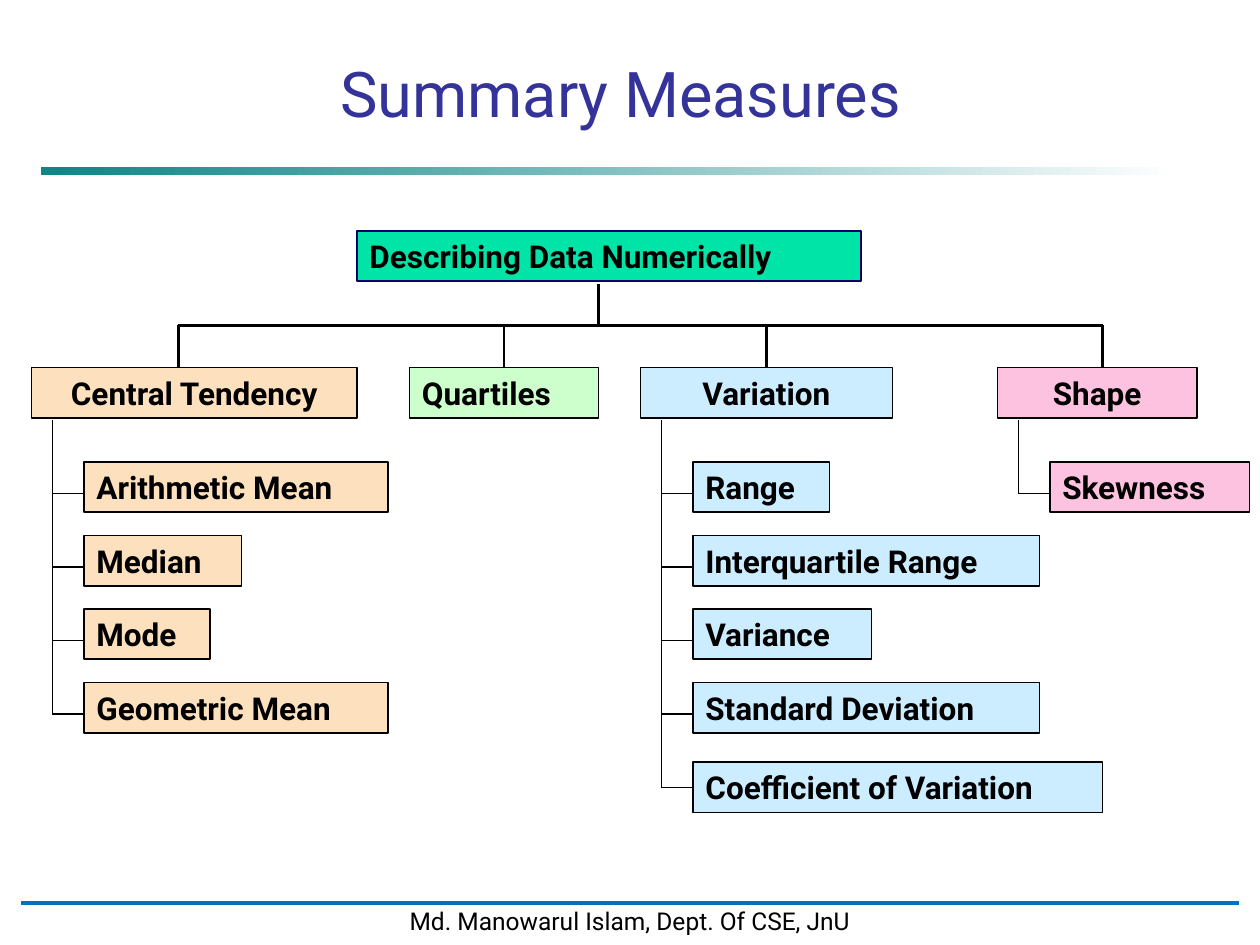
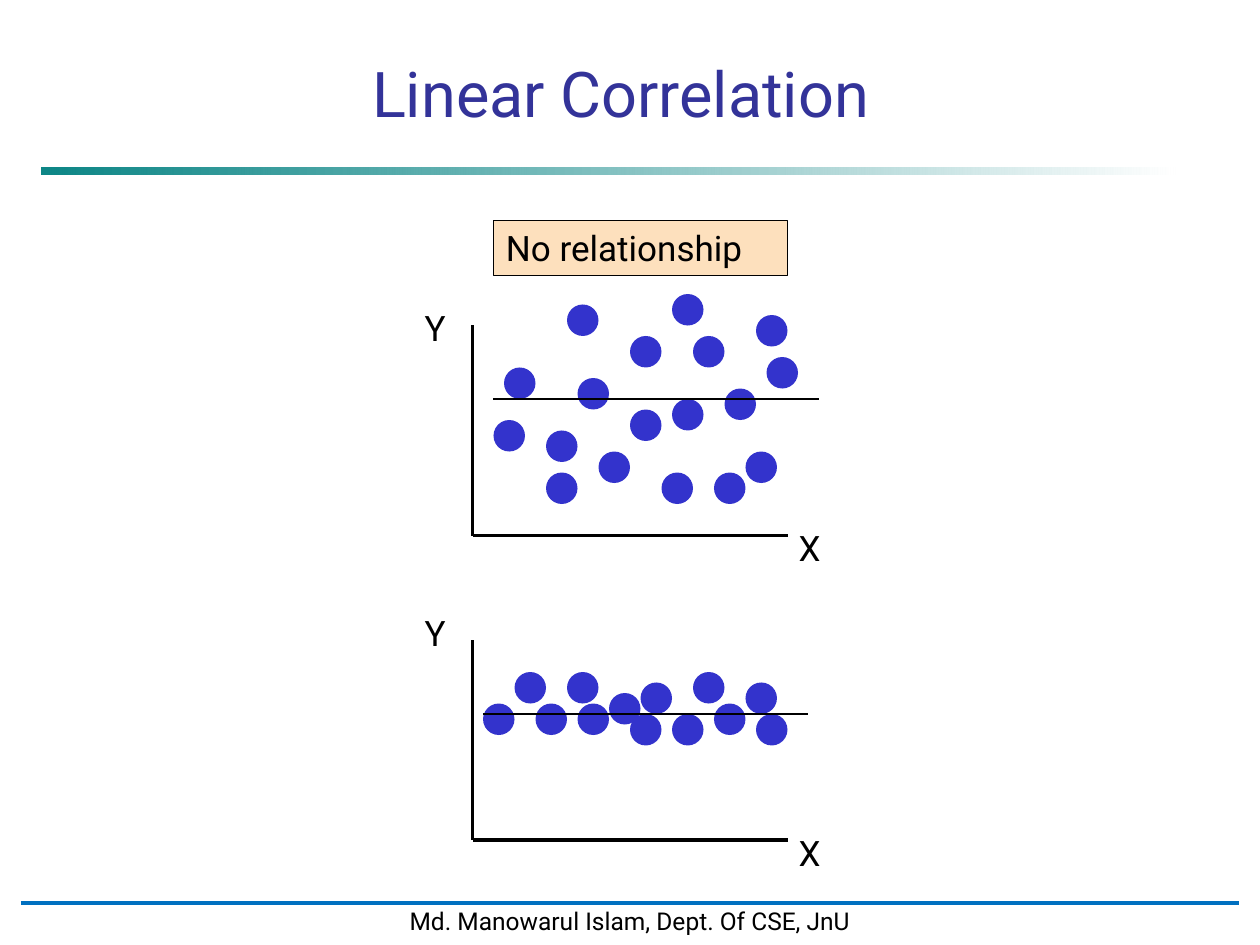
"""Build two statistics slides: a tree of summary measures and two scatter sketches."""
from dataclasses import dataclass

import lxml.etree
import pptx
import pptx.dml.color
import pptx.enum.shapes
import pptx.enum.text
import pptx.oxml.ns
import pptx.util

Pt = pptx.util.Pt
SHAPES = pptx.enum.shapes.MSO_SHAPE
ALIGN = pptx.enum.text.PP_ALIGN
ANCHOR = pptx.enum.text.MSO_ANCHOR
qn = pptx.oxml.ns.qn

FONT = "Roboto"
COLORS = {
    "title": "333399",
    "teal": "008080",
    "white": "FFFFFF",
    "black": "000000",
    "rule": "0070C0",
    "root": "00E4A8",
    "root_line": "000066",
    "peach": "FDE0BD",
    "green": "CCFFCC",
    "sky": "CCECFF",
    "pink": "FCC2E0",
    "dot": "3333CC",
}
FOOTER = "Md. Manowarul Islam, Dept. Of CSE, JnU"

BOX_H = 28.8
LABEL_H = 31.5
DOT = 18
BAR_Y = 186
BRANCH_TOP = 210
LEAF_TOP = 264
LEAF_LINE_Y = 282
LEAF_STEP = 42
LEAF_INDENT = 30
RAIL_INDENT = 12


@dataclass
class Leaf:
    """A measure listed under a branch; nudge shifts it off the regular row."""
    text: str
    width: float
    nudge: float = 0


@dataclass
class Branch:
    """A family of measures, hung from the bar at drop_x."""
    text: str
    left: float
    width: float
    drop_x: float
    color: str
    leaves: tuple[Leaf, ...] = ()
    align: ALIGN = ALIGN.CENTER


@dataclass
class Scatter:
    """A sketched scatter plot with axes, a flat trend line and dots."""
    top: float
    bottom: float
    y_label_top: float
    trend: tuple[float, float, float]
    dots: tuple[tuple[float, float], ...]


BRANCHES = (
    Branch("Central Tendency", 18, 186, 102, "peach", (
        Leaf("Arithmetic Mean", 174),
        Leaf("Median", 90),
        Leaf("Mode", 72),
        Leaf("Geometric Mean", 174),
    )),
    Branch("Quartiles", 234, 108, 288, "green", align=ALIGN.LEFT),
    Branch("Variation", 366, 144, 438, "sky", (
        Leaf("Range", 78),
        Leaf("Interquartile Range", 198),
        Leaf("Variance", 102),
        Leaf("Standard Deviation", 198),
        Leaf("Coefficient of Variation", 234, nudge=3.6),
    )),
    Branch("Shape", 570, 114, 630, "pink", (Leaf("Skewness", 114),)),
)

SCATTERS = (
    Scatter(186, 306, 171.4, (282, 468, 228), (
        (384, 168), (282, 240), (426, 258), (438, 204), (312, 270), (324, 174),
        (384, 228), (396, 192), (432, 180), (360, 192), (312, 246), (330, 216),
        (408, 270), (360, 234), (342, 258), (288, 210), (378, 270), (414, 222),
    )),
    Scatter(366, 480, 345.6, (276, 462, 408), (
        (432, 408), (306, 402), (426, 390), (324, 384), (396, 384), (408, 402),
        (348, 396), (276, 402), (294, 384), (330, 402), (384, 408), (366, 390),
        (360, 408),
    )),
)


def rgb(name: str) -> pptx.dml.color.RGBColor:
    """Return the named colour."""
    return pptx.dml.color.RGBColor.from_string(COLORS[name])


def write_text(tf, text: str, *, size: float, color: str = "black", bold: bool = False,
               align: ALIGN = ALIGN.LEFT, anchor: ANCHOR = ANCHOR.TOP,
               wrap: bool = True) -> None:
    """Fill a text frame with one formatted paragraph."""
    tf.word_wrap = wrap
    tf.auto_size = pptx.enum.text.MSO_AUTO_SIZE.NONE
    tf.vertical_anchor = anchor
    p = tf.paragraphs[0]
    p.alignment = align
    r = p.add_run()
    r.text = text
    r.font.name = FONT
    r.font.size = Pt(size)
    r.font.bold = bold
    r.font.color.rgb = rgb(color)


def add_shape(s, left: float, top: float, width: float, height: float, fill: str,
              line: str | None = None, line_width: float = 1, kind: SHAPES = SHAPES.RECTANGLE):
    """Add a flat preset shape."""
    sp = s.shapes.add_shape(kind, Pt(left), Pt(top), Pt(width), Pt(height))
    sp.shadow.inherit = False
    sp.fill.solid()
    sp.fill.fore_color.rgb = rgb(fill)
    if line:
        sp.line.color.rgb = rgb(line)
        sp.line.width = Pt(line_width)
    else:
        sp.line.fill.background()
    return sp


def add_line(s, x1: float, y1: float, x2: float, y2: float, width: float,
             color: str = "black"):
    """Add a straight line without a shadow."""
    line = s.shapes.add_connector(pptx.enum.shapes.MSO_CONNECTOR.STRAIGHT,
                                  Pt(x1), Pt(y1), Pt(x2), Pt(y2))
    line.line.color.rgb = rgb(color)
    line.line.width = Pt(width)
    lxml.etree.SubElement(line._element.spPr, qn("a:effectLst"))
    return line


def add_box(s, text: str, left: float, top: float, width: float, fill: str,
            line: str = "black", align: ALIGN = ALIGN.LEFT):
    """Add a bold labelled box of the tree."""
    sp = add_shape(s, left, top, width, BOX_H, fill, line)
    write_text(sp.text_frame, text, size=18, bold=True, align=align)
    return sp


def add_label(s, text: str, left: float, top: float) -> None:
    """Add an axis label."""
    sp = s.shapes.add_textbox(Pt(left), Pt(top), Pt(26), Pt(LABEL_H))
    write_text(sp.text_frame, text, size=20, wrap=False)


def add_slide(prs, title: str):
    """Add a slide with the shared title, gradient band and footer."""
    s = prs.slides.add_slide(prs.slide_layouts[5])
    sp = s.shapes.title
    sp.left, sp.top, sp.width, sp.height = Pt(48), Pt(30), Pt(613.5), Pt(48)
    write_text(sp.text_frame, title, size=36, color="title",
               align=ALIGN.CENTER, anchor=ANCHOR.BOTTOM)

    band = add_shape(s, 24, 96, 648, 4, "teal")
    band.fill.gradient()
    band.fill.gradient_angle = 0
    for stop, name in zip(band.fill.gradient_stops, ("teal", "white")):
        stop.color.rgb = rgb(name)
    first = next(band._element.spPr.iter(qn("a:srgbClr")))
    lxml.etree.SubElement(first, qn("a:alpha"), val="95000")

    footer = add_shape(s, 12, 514, 696, 24, "white", "white", 2)
    write_text(footer.text_frame, FOOTER, size=14, align=ALIGN.CENTER,
               anchor=ANCHOR.MIDDLE, wrap=False)
    add_line(s, 12, 516, 708, 516, 1.75, "rule")
    return s


def add_branch(s, branch: Branch) -> None:
    """Draw a branch box, its drop line and its leaves on a rail."""
    box = add_box(s, branch.text, branch.left, BRANCH_TOP, branch.width,
                  branch.color, align=branch.align)
    drop = add_line(s, branch.drop_x, BAR_Y, branch.drop_x, BRANCH_TOP, 1.5)
    if branch.drop_x == branch.left + branch.width / 2:
        drop.end_connect(box, 0)
    if not branch.leaves:
        return

    rail_x = branch.left + RAIL_INDENT
    leaf_x = branch.left + LEAF_INDENT
    rail_end = LEAF_LINE_Y + LEAF_STEP * (len(branch.leaves) - 1)
    add_line(s, rail_x, 240, rail_x, rail_end, 0.75)
    for i, leaf in enumerate(branch.leaves):
        top = LEAF_TOP + LEAF_STEP * i + leaf.nudge
        y = LEAF_LINE_Y + LEAF_STEP * i
        sp = add_box(s, leaf.text, leaf_x, top, leaf.width, branch.color)
        tick = add_line(s, rail_x, y, leaf_x, y, 0.75)
        if abs(top + BOX_H / 2 - y) < 0.1:
            tick.end_connect(sp, 1)


def add_scatter(s, plot: Scatter) -> None:
    """Draw the axes, labels, dots and trend line of a scatter plot."""
    add_line(s, 270, plot.top, 270, plot.bottom, 2)
    add_line(s, 270, plot.bottom, 450, plot.bottom, 2)
    add_label(s, "Y", 235.5, plot.y_label_top)
    add_label(s, "X", 449.3, plot.bottom - 8.5)
    for x, y in plot.dots:
        add_shape(s, x, y, DOT, DOT, "dot", kind=SHAPES.OVAL)
    x1, x2, y = plot.trend
    add_line(s, x1, y, x2, y, 1.5)


def build_summary(prs) -> None:
    """Build the tree of summary measures."""
    s = add_slide(prs, "Summary Measures")
    add_box(s, "Describing Data Numerically", 204, 132, 288, "root", "root_line")
    add_line(s, 342, 162, 342, BAR_Y, 1.5)
    add_line(s, BRANCHES[0].drop_x, BAR_Y, BRANCHES[-1].drop_x, BAR_Y, 1.5)
    for branch in BRANCHES:
        add_branch(s, branch)


def build_correlation(prs) -> None:
    """Build the two plots that show no relationship."""
    s = add_slide(prs, "Linear Correlation")
    sp = add_shape(s, 282, 126, 168, LABEL_H, "peach", "black")
    write_text(sp.text_frame, "No relationship", size=20)
    for plot in SCATTERS:
        add_scatter(s, plot)


def main() -> None:
    """Build and save the presentation."""
    prs = pptx.Presentation()
    prs.slide_width, prs.slide_height = Pt(720), Pt(540)
    build_summary(prs)
    build_correlation(prs)
    prs.save("out.pptx")


if __name__ == "__main__":
    main()
